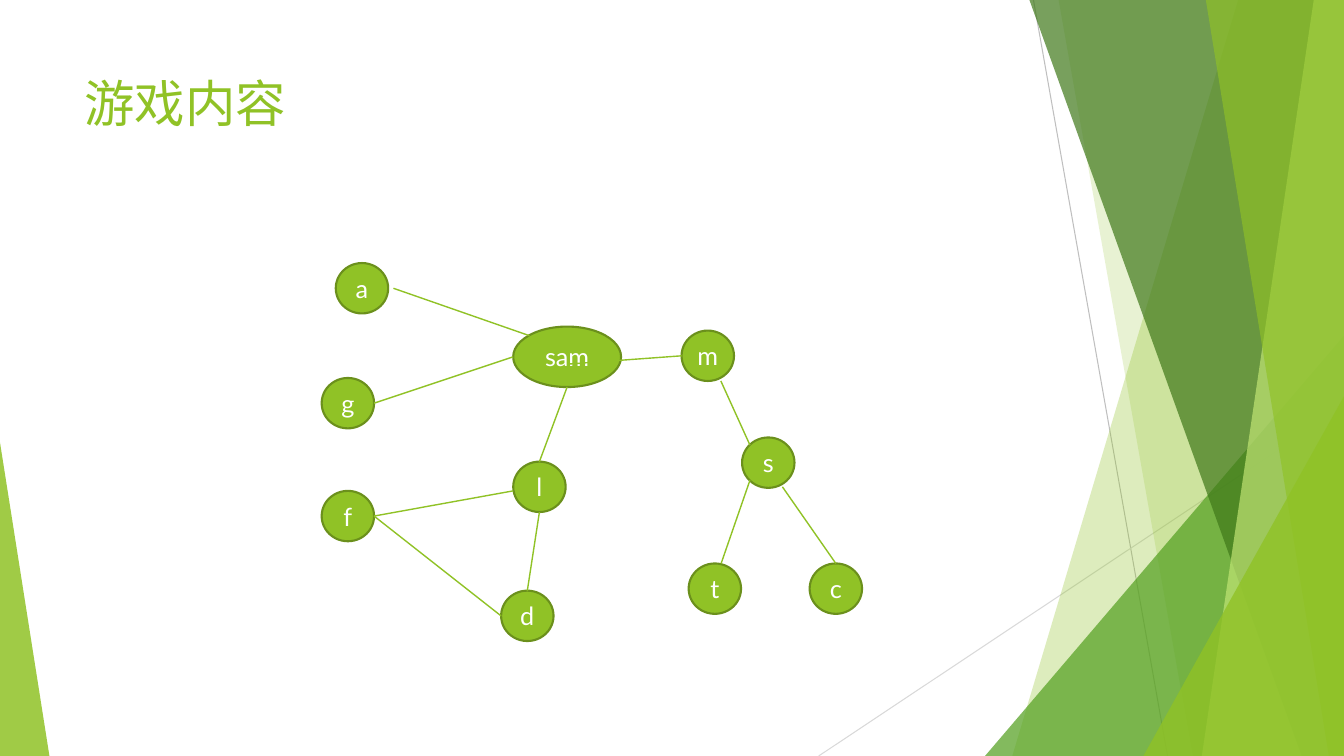
from lxml.etree import SubElement
from pptx import Presentation
from pptx.dml.color import RGBColor as Color
from pptx.enum.shapes import MSO_CONNECTOR as Connector, MSO_SHAPE as Shape
from pptx.enum.text import MSO_ANCHOR as Anchor, PP_ALIGN as Align
from pptx.oxml.ns import qn
from pptx.util import Inches, Pt

THEME = {
    "lime": "90C226", "outline": "6B901C", "leaf": "54A021", "forest": "3F7819",
    "pale": "C0E474", "white": "FFFFFF", "grey": "BFBFBF", "light grey": "D9D9D9",
    "latin": "Lato", "chinese": "Noto Sans CJK SC",
    "title size": 36, "node size": 18, "rim": 1.5, "edge": 1, "hairline": 0.75,
}
# The grid has cells of one inch
COLUMNS, ROWS = 13.33, 7.5


def write(shape, text, size, color, font, align=Align.LEFT, anchor=Anchor.TOP, wrap=True):
    frame = shape.text_frame
    frame.word_wrap = wrap
    frame.vertical_anchor = anchor
    para = frame.paragraphs[0]
    para.alignment = align
    span = para.add_run()
    span.text = text
    span.font.size = Pt(THEME[size])
    span.font.color.rgb = Color.from_string(THEME[color])
    span.font.name = THEME[font]
    SubElement(span.font._element, qn("a:ea"), typeface=THEME[font])


def draw_line(start, end, color, width):
    line = page.shapes.add_connector(
        Connector.STRAIGHT, *(Inches(length) for length in (*start, *end)))
    line.line.color.rgb = Color.from_string(THEME[color])
    line.line.width = Pt(THEME[width])
    SubElement(line._element.spPr, qn("a:effectLst"))


deck = Presentation()
deck.slide_width, deck.slide_height = Inches(COLUMNS), Inches(ROWS)
page = deck.slides.add_slide(deck.slide_layouts[6])

# Background: hairlines, then translucent panels
draw_line((10.25, 0), (11.58, ROWS), "grey", "hairline")
draw_line((COLUMNS, 4.03), (8.12, ROWS), "light grey", "hairline")

# Bands run to the right edge: x at the top, x at the bottom
# Wedges stand on the bottom edge: left, top, width, apex share
panels = [
    ("band", (12.28, 10.04), "lime", 30),
    ("band", (10.5, 11.83), "lime", 20),
    ("wedge", (9.77, 3.33, 3.56, 1), "leaf", 72),
    ("band", (10.21, 12.91), "forest", 70),
    ("band", (13.03, 11.92), "pale", 70),
    ("band", (11.96, 13.18), "lime", 65),
    ("wedge", (11.34, 3.93, 1.99, 1), "lime", 80),
    ("wedge", (0, 4.39, 0.49, 0), "lime", 85),
]
for kind, place, color, opacity in panels:
    if kind == "band":
        top_x, bottom_x = place
        outline = page.shapes.build_freeform(Inches(top_x), 0)
        corners = [(COLUMNS, 0), (COLUMNS, ROWS), (bottom_x, ROWS)]
        outline.add_line_segments([(Inches(x), Inches(y)) for x, y in corners])
        panel = outline.convert_to_shape()
    else:
        left, top, width, apex = place
        panel = page.shapes.add_shape(
            Shape.ISOSCELES_TRIANGLE,
            Inches(left), Inches(top), Inches(width), Inches(ROWS - top))
        panel.adjustments[0] = apex
    panel.shadow.inherit = False
    panel.line.fill.background()
    panel.fill.solid()
    panel.fill.fore_color.rgb = Color.from_string(THEME[color])
    paint = panel._element.spPr.find(f"{qn('a:solidFill')}/{qn('a:srgbClr')}")
    SubElement(paint, qn("a:alpha"), val=str(opacity * 1000))

title = page.shapes.add_textbox(Inches(0.74), Inches(0.67), Inches(9.4), Inches(1.44))
write(title, "游戏内容", "title size", "lime", "chinese")

# Graph nodes: left, top, width, height
circle = (0.52, 0.5)
nodes = {
    "sam": (5.09, 3.24, 1.07, 0.6),
    "g": (3.19, 3.75, *circle),
    "l": (5.09, 4.58, *circle),
    "f": (3.19, 4.87, *circle),
    "d": (4.97, 5.86, *circle),
    "t": (6.83, 5.59, *circle),
    "s": (7.36, 4.34, *circle),
    "m": (6.76, 3.28, *circle),
    "c": (8.03, 5.59, *circle),
    "a": (3.33, 2.61, *circle),
}
for name, place in nodes.items():
    node = page.shapes.add_shape(Shape.OVAL, *(Inches(length) for length in place))
    node.shadow.inherit = False
    node.fill.solid()
    node.fill.fore_color.rgb = Color.from_string(THEME["lime"])
    node.line.color.rgb = Color.from_string(THEME["outline"])
    node.line.width = Pt(THEME["rim"])
    write(node, name, "node size", "white", "latin", Align.CENTER, Anchor.MIDDLE, wrap=False)

# Each edge end is a node and a point in shares of that node's box
top, left, bottom, right = (0.5, 0), (0, 0.5), (0.5, 1), (1, 0.5)
upper_left, lower_left = (0.15, 0.15), (0.15, 0.85)
edges = [
    ("g", right, "sam", left),
    ("sam", (0.51, 0.62), "m", left),
    ("sam", bottom, "l", top),
    ("l", (0, 0.58), "f", right),
    ("f", right, "d", left),
    ("l", bottom, "d", top),
    ("m", (0.75, 1), "s", upper_left),
    ("s", lower_left, "t", (0.62, 0)),
    ("s", (0.77, 0.98), "c", top),
    ("a", (1.1, 0.5), "sam", upper_left),
]
for first, first_share, second, second_share in edges:
    ends = []
    for name, (across, down) in ((first, first_share), (second, second_share)):
        x, y, width, height = nodes[name]
        ends.append((x + across * width, y + down * height))
    draw_line(*ends, "lime", "edge")

deck.save("out.pptx")
